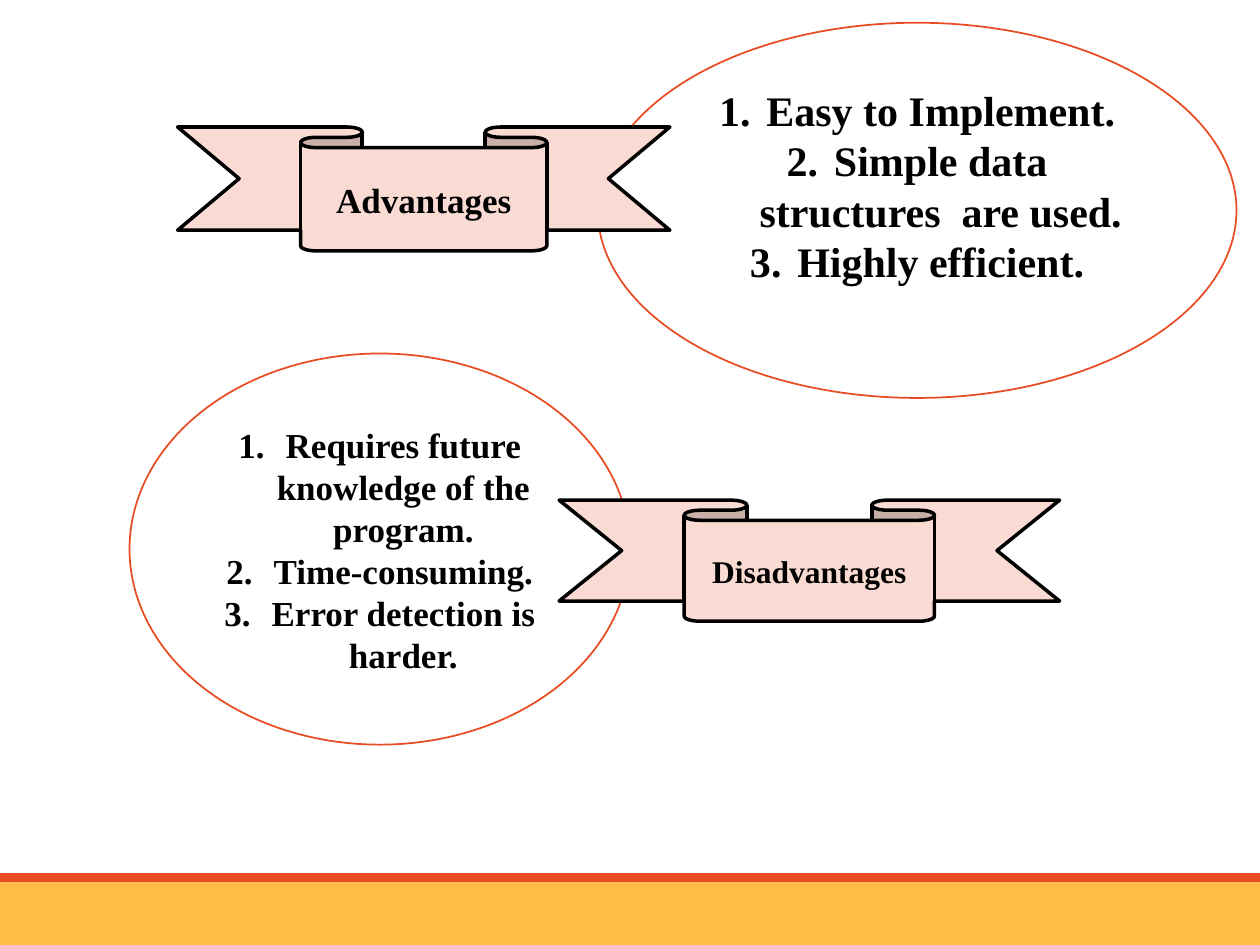
from lxml import etree
from pptx import Presentation
from pptx.dml.color import RGBColor
from pptx.enum.shapes import MSO_SHAPE
from pptx.enum.text import MSO_ANCHOR, PP_ALIGN
from pptx.oxml.ns import qn
from pptx.util import Pt

RECTANGLE = MSO_SHAPE.RECTANGLE
ELLIPSE = MSO_SHAPE.OVAL
RIBBON = MSO_SHAPE.DOWN_RIBBON
MIDDLE = MSO_ANCHOR.MIDDLE
CENTER = PP_ALIGN.CENTER

FONT = "Times New Roman"
COLORS = {
    "amber": "FFBD47",
    "orange": "E84C22",
    "pink": "FADBD3",
    "black": "000000",
}
NUMBER_INDENT = Pt(27)


def color(name):
    return RGBColor.from_string(COLORS[name])


def add_shape(slide, kind, box, fill=None, line=None, line_width=1):
    shape = slide.shapes.add_shape(kind, *(Pt(length) for length in box))
    shape.shadow.inherit = False
    if fill:
        shape.fill.solid()
        shape.fill.fore_color.rgb = color(fill)
    else:
        shape.fill.background()
    if line:
        shape.line.color.rgb = color(line)
        shape.line.width = Pt(line_width)
    else:
        shape.line.fill.background()
    return shape


def write_lines(shape, lines, size):
    frame = shape.text_frame
    frame.word_wrap = True
    frame.vertical_anchor = MIDDLE
    frame.text = "\n".join(lines)
    for paragraph in frame.paragraphs:
        paragraph.alignment = CENTER
        paragraph.font.name = FONT
        paragraph.font.size = Pt(size)
        paragraph.font.bold = True
        paragraph.font.color.rgb = color("black")


def number_paragraph(paragraph):
    properties = paragraph._p.get_or_add_pPr()
    properties.set("marL", str(NUMBER_INDENT))
    properties.set("indent", str(-NUMBER_INDENT))
    bullet_font = etree.Element(qn("a:buFont"), typeface="+mj-lt")
    numbering = etree.Element(qn("a:buAutoNum"), type="arabicPeriod")
    properties.insert(0, bullet_font)
    properties.insert(1, numbering)


def add_list_ellipse(slide, box, items, size, bottom_margin=3.6):
    ellipse = add_shape(slide, ELLIPSE, box, line="orange")
    write_lines(ellipse, items, size)
    ellipse.text_frame.margin_bottom = Pt(bottom_margin)
    for paragraph in ellipse.text_frame.paragraphs:
        number_paragraph(paragraph)


def add_ribbon(slide, box, title, size):
    ribbon = add_shape(slide, RIBBON, box, "pink", "black", 2)
    write_lines(ribbon, [title], size)


def main():
    presentation = Presentation()
    presentation.slide_width = Pt(720)
    presentation.slide_height = Pt(540)
    slide = presentation.slides.add_slide(presentation.slide_layouts[6])

    add_shape(slide, RECTANGLE, (0, 504, 720, 36), "amber")
    add_shape(slide, RECTANGLE, (0, 499, 720, 5), "orange")

    add_list_ellipse(
        slide,
        (341.6, 13, 365, 214.4),
        ["Easy to Implement.", "Simple data structures  are used.", "Highly efficient."],
        24,
        bottom_margin=32.4,
    )
    add_list_ellipse(
        slide,
        (74, 202, 286, 223.5),
        [
            "Requires future knowledge of the program.",
            "Time-consuming.",
            "Error detection is harder.",
        ],
        20,
    )
    add_ribbon(slide, (319.5, 285.8, 286, 69.2), "Disadvantages", 18)
    add_ribbon(slide, (101.5, 72.6, 281.3, 70.8), "Advantages", 20)

    presentation.save("out.pptx")


if __name__ == "__main__":
    main()
